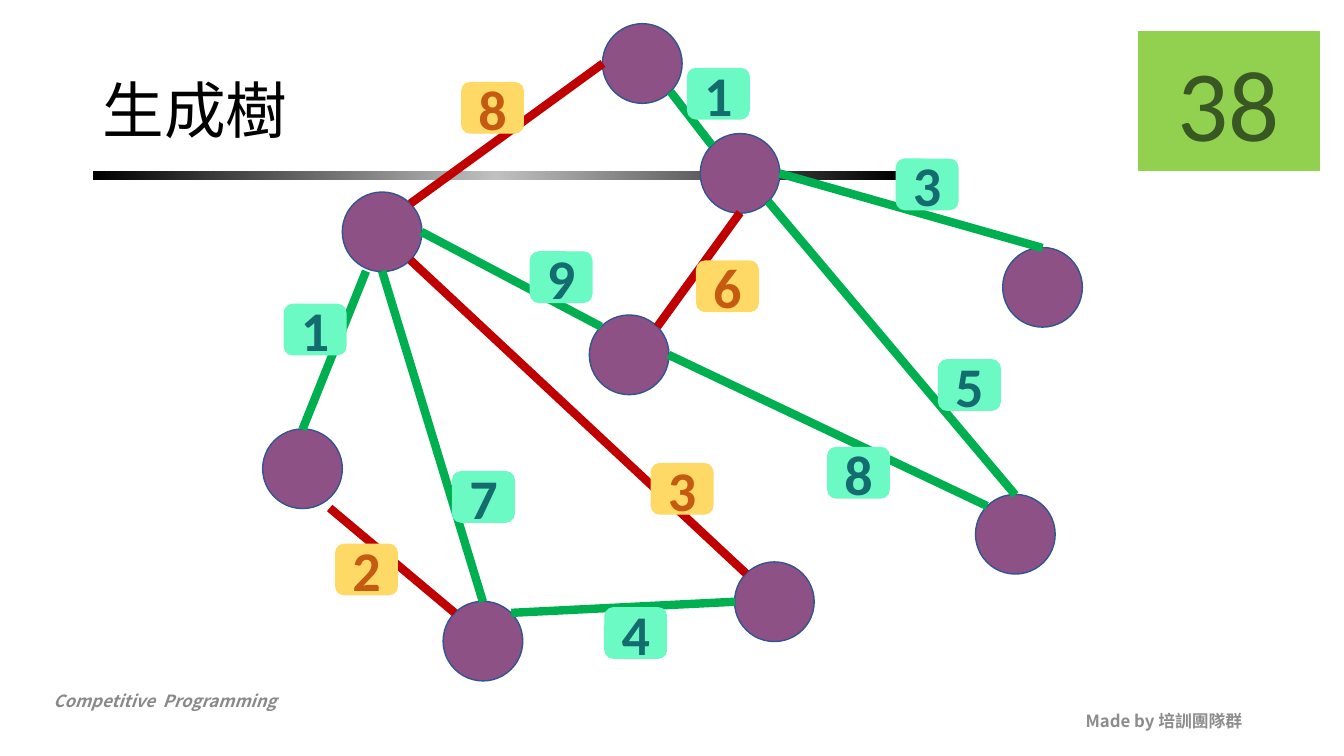
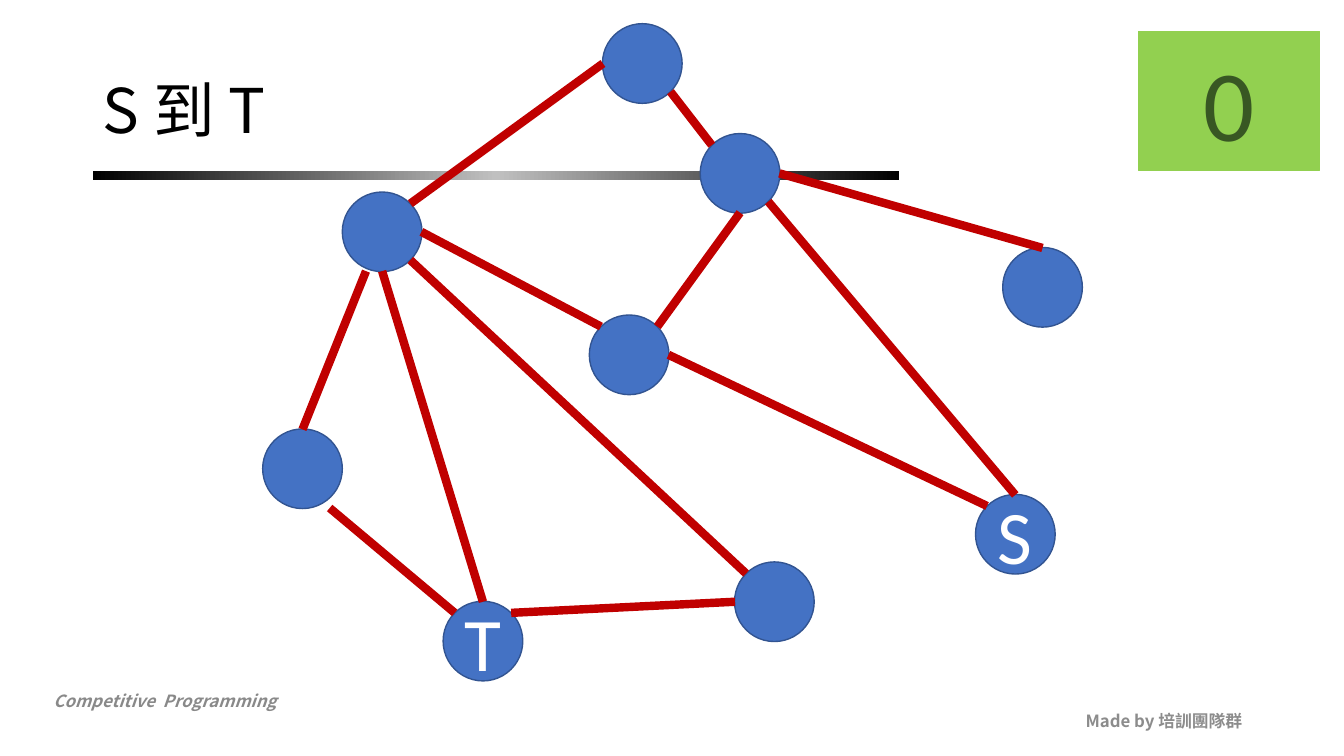
"""Builds two slides that show a weighted graph: its spanning tree, and a path from S to T."""
from copy import deepcopy

from pptx import Presentation
from pptx import util as u
from pptx.dml.color import RGBColor
from pptx.enum import shapes, text
from pptx.oxml import ns
from pptx.oxml.xmlchemy import OxmlElement

CJK, LATIN = "Noto Sans CJK SC", "Calibri"
RED, GREEN, BLUE, PURPLE = "C00000", "00B050", "4472C4", "8D5186"
LABEL_COLOURS = {GREEN: ("6CFAC4", "146C6E"), RED: ("FFD966", "C55A11")}
NODE_SIZE = 0.79
R, D = 0.39, 0.28
SITES = {
    "top": (0, -R), "bottom": (0, R), "left": (-R, 0), "right": (R, 0),
    "top left": (-D, -D), "top right": (D, -D),
    "bottom left": (-D, D), "bottom right": (D, D),
    "under left": (-0.16, R), "under right": (0.27, R),
}
NODES = {
    "hub": (3.79, 2.3), "peak": (6.37, 0.63), "cross": (7.34, 1.72),
    "middle": (6.24, 3.52), "west": (3, 4.65), "east": (10.34, 2.85),
    "south": (7.68, 5.97), "T": (4.79, 6.36), "S": (10.07, 5.3),
}
EDGES = [
    ("hub", "top right", "peak", "left", RED, "8", 4.58, 0.82),
    ("cross", "top left", "peak", "bottom right", GREEN, "1", 6.82, 0.68),
    ("hub", "under left", "west", "top", GREEN, "1", 2.82, 3.02),
    ("middle", "top left", "hub", "right", GREEN, "9", 5.26, 2.5),
    ("T", "top", "hub", "bottom", GREEN, "7", 4.49, 4.68),
    ("cross", "bottom", "middle", "top right", RED, "6", 6.91, 2.59),
    ("south", "left", "T", "top right", GREEN, "4", 6, 6.03),
    ("south", "top left", "hub", "bottom right", RED, "3", 6.46, 4.6),
    ("cross", "right", "east", "top", GREEN, "3", 8.89, 1.58),
    ("T", "top left", "west", "under right", RED, "2", 3.33, 5.4),
    ("middle", "right", "S", "top left", GREEN, "8", 8.21, 4.44),
    ("cross", "bottom right", "S", "top", GREEN, "5", 9.31, 3.57),
]
SLIDES = [("生成樹", "38", PURPLE, True), ("S 到 T", "0", BLUE, False)]

rgb = RGBColor.from_string


def write(holder, words, size, colour, font=LATIN, bold=None, italic=None,
          align=text.PP_ALIGN.CENTER, anchor=text.MSO_ANCHOR.MIDDLE):
    frame = holder.text_frame
    frame.word_wrap = True
    frame.vertical_anchor = anchor
    paragraph = frame.paragraphs[0]
    paragraph.alignment = align
    run = paragraph.add_run()
    run.text = words
    run.font.size = u.Pt(size)
    run.font.bold, run.font.italic = bold, italic
    run.font.color.rgb = rgb(colour)
    run.font.name = font
    east_asian = OxmlElement("a:ea")
    east_asian.set("typeface", font)
    run.font._element.find(ns.qn("a:latin")).addnext(east_asian)
    return paragraph


def add_solid(slide, kind, left, top, width, height, fill, line):
    solid = slide.shapes.add_shape(kind, *map(u.Inches, (left, top, width, height)))
    solid.shadow.inherit = False
    solid.fill.solid()
    solid.fill.fore_color.rgb = rgb(fill)
    solid.line.color.rgb = rgb(line)
    solid.line.width = u.Pt(1)
    return solid


deck = Presentation()
deck.slide_width, deck.slide_height = u.Inches(13.33), u.Inches(7.5)

for heading, count, node_colour, weighted in SLIDES:
    slide = deck.slides.add_slide(deck.slide_layouts[6])

    course = slide.shapes.add_textbox(*map(u.Inches, (0.43, 6.8, 4.25, 0.3)))
    write(course, "Competitive  Programming", 12, "898989", CJK, True, True,
          text.PP_ALIGN.LEFT, text.MSO_ANCHOR.TOP)
    course.text_frame.auto_size = text.MSO_AUTO_SIZE.SHAPE_TO_FIT_TEXT
    credit = slide.shapes.add_textbox(*map(u.Inches, (9.42, 6.95, 3, 0.4)))
    write(credit, "Made by 培訓團隊群", 12, "8C8C8C", CJK, True,
          align=text.PP_ALIGN.RIGHT)

    title_rule = slide.shapes.add_shape(
        shapes.MSO_SHAPE.RECTANGLE, *map(u.Inches, (0.92, 1.7, 8, 0.09)))
    title_rule.shadow.inherit = False
    title_rule.line.fill.background()
    title_rule.fill.gradient()
    title_rule.fill.gradient_angle = 0
    stop_list = title_rule._element.spPr.find(".//" + ns.qn("a:gsLst"))
    stop_list.append(deepcopy(stop_list[-1]))
    for stop, position, shade in zip(title_rule.fill.gradient_stops, (0, 0.5, 1),
                                     ("000000", "C0C0C0", "000000")):
        stop.position = position
        stop.color.rgb = rgb(shade)

    title = slide.shapes.add_textbox(*map(u.Inches, (0.92, 0.4, 11.5, 1.45)))
    write(title, heading, 44, "000000", CJK,
          align=text.PP_ALIGN.LEFT).line_spacing = 0.9

    for name, (x, y) in NODES.items():
        node = add_solid(slide, shapes.MSO_SHAPE.OVAL, x - NODE_SIZE / 2,
                         y - NODE_SIZE / 2, NODE_SIZE, NODE_SIZE, node_colour, "325491")
        if name in ("S", "T") and not weighted:
            write(node, name, 54, "FFFFFF")

    for start, start_site, end, end_site, colour, *_ in EDGES:
        points = [centre + offset
                  for name, site in ((start, start_site), (end, end_site))
                  for centre, offset in zip(NODES[name], SITES[site])]
        edge = slide.shapes.add_connector(
            shapes.MSO_CONNECTOR.STRAIGHT, *map(u.Inches, points))
        edge.line.color.rgb = rgb(colour if weighted else RED)
        edge.line.width = u.Pt(6)
        edge._element.spPr.append(OxmlElement("a:effectLst"))

    if weighted:
        for *_, colour, weight, left, top in EDGES:
            back, ink = LABEL_COLOURS[colour]
            label = add_solid(slide, shapes.MSO_SHAPE.ROUNDED_RECTANGLE,
                              left, top, 0.61, 0.5, back, back)
            write(label, weight, 40, ink, bold=True)

    badge = add_solid(slide, shapes.MSO_SHAPE.RECTANGLE, 11.29, 0.31, 1.8, 1.38,
                      "92D050", "92D050")
    write(badge, count, 72, "385723")

deck.save("out.pptx")
